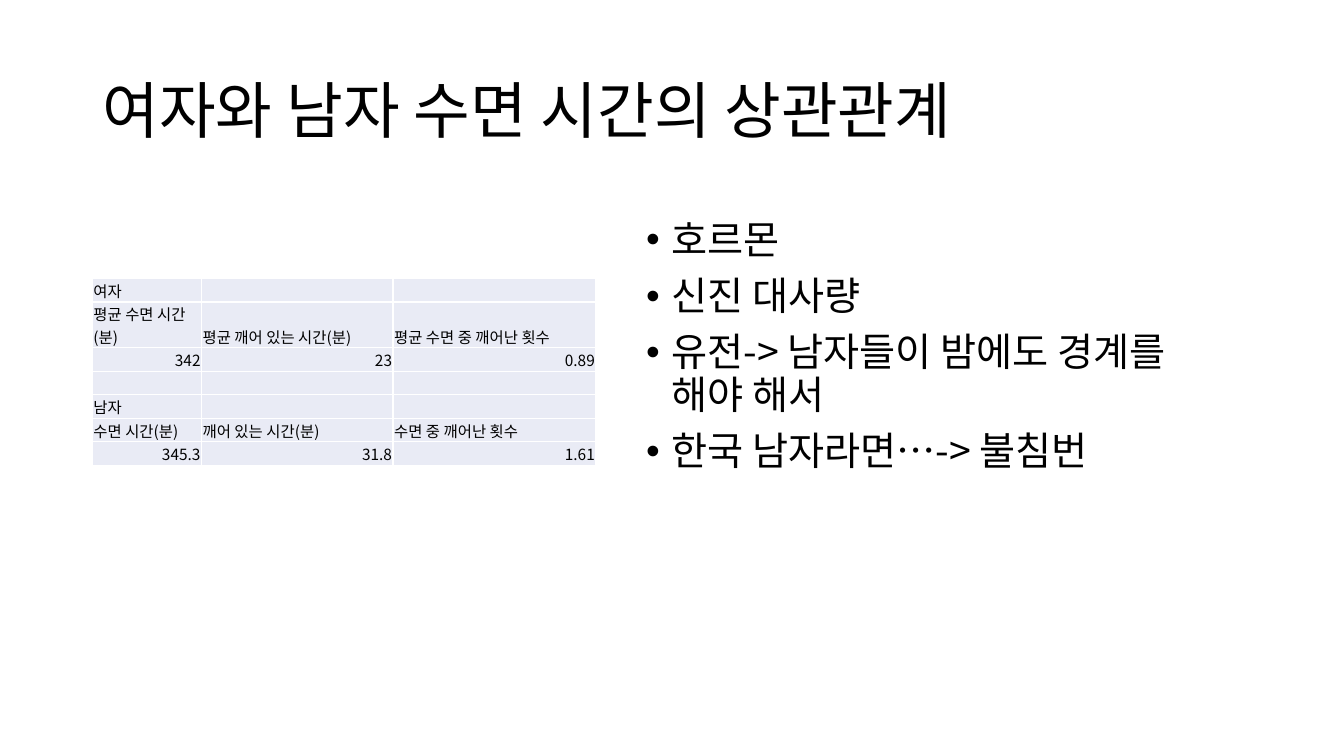
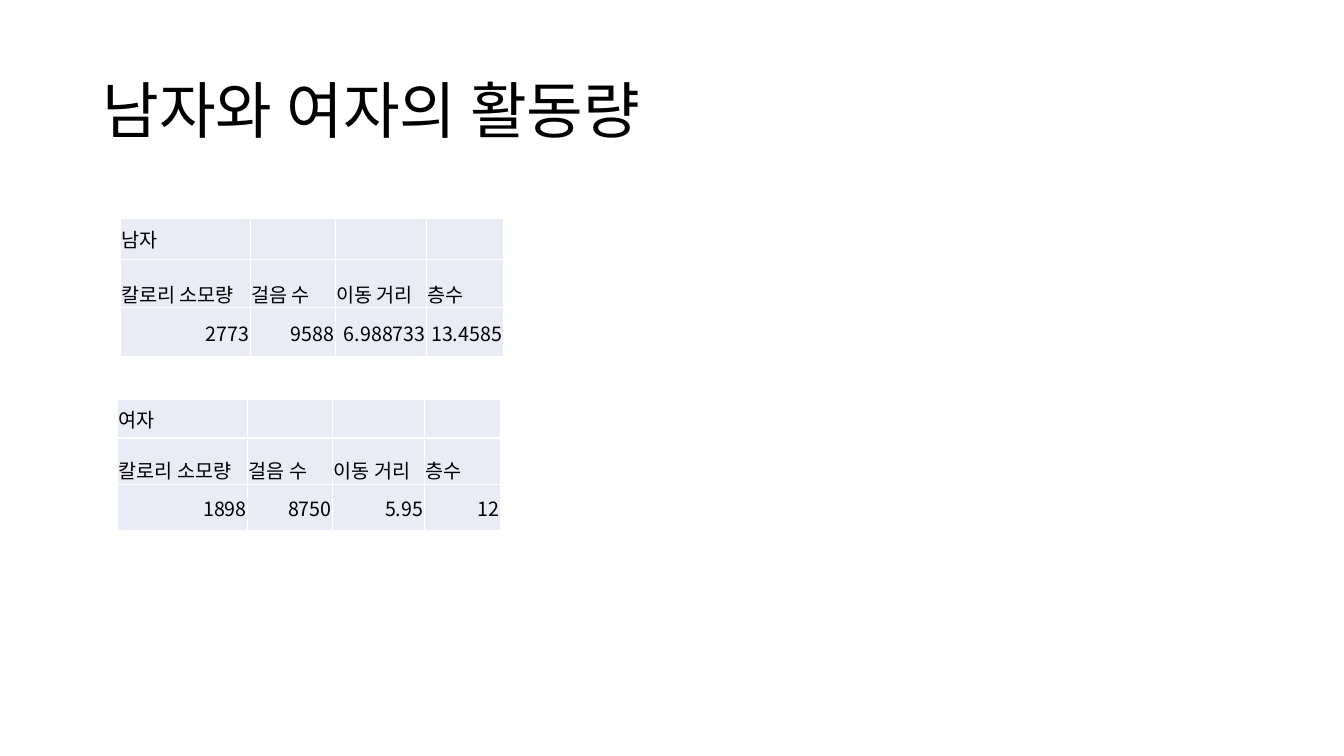
from lxml import etree
from pptx import Presentation
from pptx.dml.color import RGBColor
from pptx.enum.text import MSO_ANCHOR, MSO_AUTO_SIZE, PP_ALIGN
from pptx.oxml.ns import qn
from pptx.util import Inches, Pt

LEFT, RIGHT = PP_ALIGN.LEFT, PP_ALIGN.RIGHT
TOP, MIDDLE, BOTTOM = MSO_ANCHOR.TOP, MSO_ANCHOR.MIDDLE, MSO_ANCHOR.BOTTOM
NO_FIT = MSO_AUTO_SIZE.NONE

COLORS = {"text": "000000", "cell": "E9EBF5", "border": "FFFFFF"}
FONT = "Noto Sans CJK KR"
GRID_COLS, GRID_ROWS = 160, 90
CELL_FORMAT = {
    "margin_left": Inches(0.01),
    "margin_right": Inches(0.01),
    "margin_top": Inches(0.01),
    "margin_bottom": 0,
}
TITLE_PARAGRAPH = {"alignment": LEFT, "line_spacing": 0.9}
BULLET_PARAGRAPH = {**TITLE_PARAGRAPH, "space_before": Pt(10)}


def style(target, values):
    for name, value in values.items():
        setattr(target, name, value)


class Deck:
    def __init__(self):
        self.prs = Presentation()
        style(self.prs, {"slide_width": Inches(13.33), "slide_height": Inches(7.5)})
        self.s = None

    def x(self, cols):
        return round(self.prs.slide_width * cols / GRID_COLS)

    def y(self, rows):
        return round(self.prs.slide_height * rows / GRID_ROWS)

    def box(self, left, top, width, height):
        return self.x(left), self.y(top), self.x(width), self.y(height)

    def text(self, p, text, size, values):
        style(p, values)
        r = p.add_run()
        r.text = text
        style(r.font, {"name": FONT, "size": Pt(size)})
        r.font.color.rgb = RGBColor.from_string(COLORS["text"])
        etree.SubElement(r._r.get_or_add_rPr(), qn("a:ea"), typeface=FONT)

    def slide(self, title):
        self.s = self.prs.slides.add_slide(self.prs.slide_layouts[5])
        sp = self.s.shapes.title
        style(sp, dict(zip(("left", "top", "width", "height"), self.box(11, 4.8, 138, 17.4))))
        tf = sp.text_frame
        style(tf, {"vertical_anchor": MIDDLE, "auto_size": NO_FIT, "word_wrap": True})
        self.text(tf.paragraphs[0], title, 44, TITLE_PARAGRAPH)

    def bullets(self, box, items, size):
        tf = self.s.shapes.add_textbox(*self.box(*box)).text_frame
        style(tf, {"vertical_anchor": TOP, "auto_size": NO_FIT, "word_wrap": True})
        for i, item in enumerate(items):
            p = tf.add_paragraph() if i else tf.paragraphs[0]
            self.text(p, item, size, BULLET_PARAGRAPH)
            pPr = p._p.get_or_add_pPr()
            pPr.set("marL", str(Inches(0.25)))
            pPr.set("indent", str(-Inches(0.25)))
            etree.SubElement(pPr, qn("a:buFont"), typeface="Arial")
            etree.SubElement(pPr, qn("a:buChar"), char="•")

    def border(self, cell):
        tcPr = cell._tc.get_or_add_tcPr()
        for side in ("lnL", "lnR", "lnT", "lnB"):
            line = etree.SubElement(tcPr, qn(f"a:{side}"), w=str(Pt(1)))
            fill = etree.SubElement(line, qn("a:solidFill"))
            etree.SubElement(fill, qn("a:srgbClr"), val=COLORS["border"])

    def cell(self, cell, text, size, anchor):
        style(cell, {**CELL_FORMAT, "vertical_anchor": anchor})
        self.border(cell)
        cell.fill.solid()
        cell.fill.fore_color.rgb = RGBColor.from_string(COLORS["cell"])
        p = cell.text_frame.paragraphs[0]
        if text:
            number = text.replace(".", "").isdigit()
            self.text(p, text, size, {"alignment": RIGHT if number else LEFT})
        else:
            etree.SubElement(p._p, qn("a:endParaRPr"), sz=str(size * 100))

    def table(self, left, top, widths, heights, rows, anchors, size):
        box = self.box(left, top, sum(widths), sum(heights))
        table = self.s.shapes.add_table(len(rows), len(widths), *box).table
        style(table, {"first_row": False, "horz_banding": False})
        for column, width in zip(table.columns, widths):
            column.width = self.x(width)
        for i, (row, height, anchor) in enumerate(zip(rows, heights, anchors)):
            table.rows[i].height = self.y(height)
            for j in range(len(widths)):
                self.cell(table.cell(i, j), row[j] if j < len(row) else "", size, anchor)


deck = Deck()

deck.slide("여자와 남자 수면 시간의 상관관계")
sleep_rows = [
    ["여자"],
    ["평균 수면 시간(분) ", "평균 깨어 있는 시간(분)", "평균 수면 중 깨어난 횟수"],
    ["342", "23", "0.89"],
    [],
    ["남자 "],
    ["수면 시간(분)", "깨어 있는 시간(분)", "수면 중 깨어난 횟수"],
    ["345.3", "31.8", "1.61"],
]
sleep_anchors = [MIDDLE, BOTTOM, BOTTOM, MIDDLE, MIDDLE, BOTTOM, MIDDLE]
deck.table(11, 33.15, [13, 22.8, 24.15], [2.8] * 7, sleep_rows, sleep_anchors, 11)
reasons = [
    "호르몬",
    "신진 대사량",
    "유전-> 남자들이 밤에도 경계를 해야 해서",
    "한국 남자라면…-> 불침번",
]
deck.bullets((75.75, 25.65, 73.3, 57.1), reasons, 28)

deck.slide("남자와 여자의 활동량")
activity_header = ["칼로리 소모량", "걸음 수", "이동 거리", "층수"]
activity_widths = [15.5, 10.1, 10.9, 9.1]
activity_tables = [
    ("남자", 14.3, 25.95, [4.9, 5.8, 5.8], ["2773", "9588", "6.988733", "13.4585"]),
    ("여자", 14, 47.55, [4.6, 5.5, 5.5], ["1898", "8750", "5.95", "12"]),
]
for group, left, top, heights, values in activity_tables:
    rows = [[group], activity_header, values]
    deck.table(left, top, activity_widths, heights, rows, [MIDDLE, BOTTOM, MIDDLE], 14)

deck.prs.save("out.pptx")
